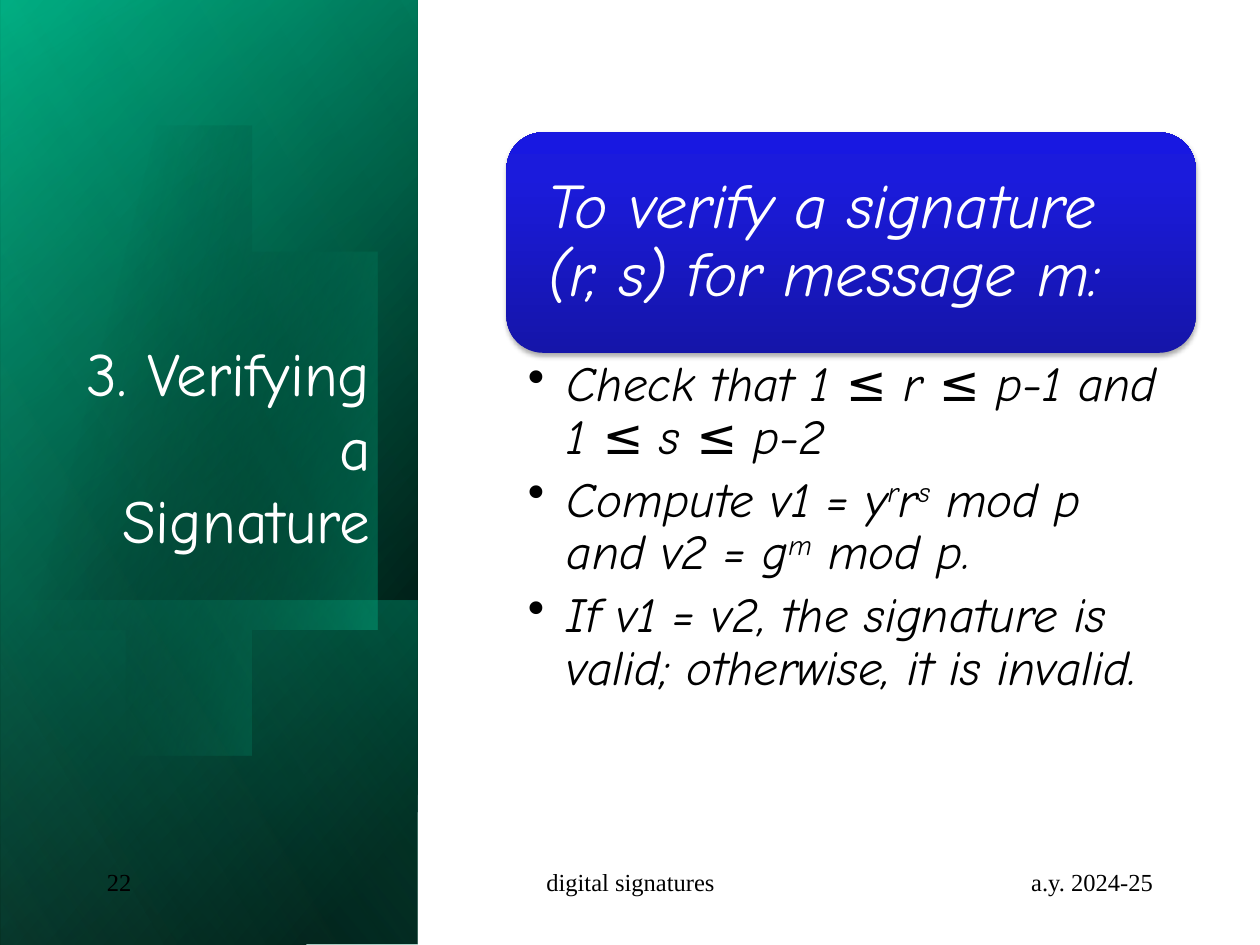
"""Build the slide on verifying a digital signature."""
from lxml import etree
from pptx import Presentation, util as u
from pptx.dml.color import RGBColor
from pptx.enum import shapes, text
from pptx.oxml import ns

TITLE = "3. Verifying a Signature"
HEADING = "To verify a signature (r, s) for message m:"
STEPS = [
    [("Check that 1 ≤ r ≤ p-1 and 1 ≤ s ≤ p-2", False)],
    [("Compute v1 = y", False), ("r", True), ("r", False), ("s", True),
     (" mod p and v2 = g", False), ("m", True), (" mod p.", False)],
    [("If v1 = v2, the signature is valid; otherwise, it is invalid.", False)],
]
FOOTERS = [
    ("a.y. 2024-25", (7.17, 6.83, 2.08, 0.5), text.PP_ALIGN.RIGHT),
    ("digital signatures", (3.42, 6.83, 3.17, 0.5), text.PP_ALIGN.CENTER),
    ("22", (0.75, 6.83, 2.08, 0.5), text.PP_ALIGN.LEFT),
]

PANEL = (-2.09, 2.09, 7.5, 3.31)
LOWER_PANEL = (0.29, 4.48, 2.74, 3.31)
BACK_LAYERS = [
    (PANEL, [(8, "000000", 100), (100, "009973", 100)], 50),
    (PANEL, [(0, "000000", 0), (99, "00CC99", 46)], 30),
    (LOWER_PANEL, [(2, "00CC99", 29), (100, "000000", 30)], 130),
]
FRONT_LAYERS = [(PANEL, [(0, "000000", 0), (99, "47FFD1", 11)], 120)]
OVAL_START = (0.96, 1.14)
OVAL_CURVES = [
    [(1.71, 1.22), (2.44, 1.92), (2.73, 2.9)],
    [(3.07, 4.12), (2.62, 5.31), (1.71, 5.57)],
    [(1.14, 5.74), (0.53, 5.5), (0.07, 5)],
    [(-0.03, 4.88)],
    [(-0.25, 1.66)],
    [(-0.15, 1.54)],
    [(0.02, 1.37), (0.22, 1.25), (0.45, 1.18)],
    [(0.62, 1.13), (0.79, 1.12), (0.96, 1.14)],
]
OVAL_STOPS = [(29, "000000", 0), (100, "00CC99", 43)]
HEADING_STOPS = [(0, "1515A9", 100), (80, "1B1BDC", 100), (100, "1818E1", 100)]

COMIC = {"name": "Comic Neue", "italic": True}
TITLE_FONT = {"name": "Comic Neue", "size": u.Pt(35)}
HEADING_FONT = {**COMIC, "size": u.Pt(36)}
STEP_FONT = {**COMIC, "size": u.Pt(28)}
FOOTER_FONT = {"name": "Times New Roman", "size": u.Pt(14)}


def apply(target, values):
    for name, value in values.items():
        setattr(target, name, value)


def add_element(parent, tag, **attributes):
    child = etree.SubElement(parent, ns.qn(tag))
    for name, value in attributes.items():
        child.set(name, str(value))
    return child


def add_color(parent, color, opacity):
    element = add_element(parent, "a:srgbClr", val=color)
    if opacity < 100:
        add_element(element, "a:alpha", val=opacity * 1000)


def set_gradient(shape, stops, angle):
    shape.shadow.inherit = False
    shape.line.fill.background()
    shape.fill.background()
    properties = shape._element.spPr
    empty = properties.find(ns.qn("a:noFill"))
    gradient = add_element(properties, "a:gradFill", rotWithShape=1)
    stop_list = add_element(gradient, "a:gsLst")
    for position, color, opacity in stops:
        add_color(add_element(stop_list, "a:gs", pos=position * 1000), color, opacity)
    add_element(gradient, "a:lin", ang=angle * 60000, scaled=0)
    properties.replace(empty, gradient)


def add_layers(slide, layers):
    for box, stops, angle in layers:
        shape = slide.shapes.add_shape(shapes.MSO_SHAPE.RECTANGLE, *map(u.Inches, box))
        shape.rotation = 90
        shape._element.spPr.find(ns.qn("a:xfrm")).set("flipH", "1")
        set_gradient(shape, stops, angle)


def curve_points(start, curves, steps=24):
    points = []
    for curve in curves:
        if len(curve) == 1:
            points += curve
        else:
            for step in range(1, steps + 1):
                t = step / steps
                weights = ((1 - t) ** 3, 3 * t * (1 - t) ** 2, 3 * t * t * (1 - t), t ** 3)
                points.append(tuple(sum(w * p[axis] for w, p in zip(weights, [start, *curve]))
                                    for axis in (0, 1)))
        start = curve[-1]
    return points


def add_oval(slide):
    builder = slide.shapes.build_freeform(*OVAL_START, scale=u.Inches(1))
    builder.add_line_segments(curve_points(OVAL_START, OVAL_CURVES), close=True)
    set_gradient(builder.convert_to_shape(), OVAL_STOPS, 14)


def add_run(paragraph, words, font, color, raised=False):
    run = paragraph.add_run()
    run.text = words
    apply(run.font, font)
    run.font.color.rgb = RGBColor.from_string(color)
    if raised:
        run._r.get_or_add_rPr().set("baseline", "30000")


def add_text_frame(slide, box, **values):
    frame = slide.shapes.add_textbox(*map(u.Inches, box)).text_frame
    apply(frame, {"word_wrap": True, **values})
    return frame


def add_line(slide, words, box, font, color, align, **values):
    paragraph = add_text_frame(slide, box, **values).paragraphs[0]
    paragraph.alignment = align
    add_run(paragraph, words, font, color)


def add_heading(slide):
    box = map(u.Inches, (4.02, 1.05, 5.47, 1.75))
    shape = slide.shapes.add_shape(shapes.MSO_SHAPE.ROUNDED_RECTANGLE, *box)
    set_gradient(shape, HEADING_STOPS, 270)
    effects = shape._element.spPr.find(ns.qn("a:effectLst"))
    shadow = add_element(effects, "a:outerShdw", blurRad=u.Pt(3.1), dist=u.Pt(1.8),
                         dir=90 * 60000, rotWithShape=0)
    add_color(shadow, "000000", 35)
    margins = {f"margin_{side}": u.Inches(0.24) for side in ("left", "top", "right", "bottom")}
    apply(shape.text_frame, {"word_wrap": True, "vertical_anchor": text.MSO_ANCHOR.MIDDLE,
                             **margins})
    paragraph = shape.text_frame.paragraphs[0]
    apply(paragraph, {"alignment": text.PP_ALIGN.LEFT, "line_spacing": 0.9})
    add_run(paragraph, HEADING, HEADING_FONT, "FFFFFF")


def add_steps(slide):
    frame = add_text_frame(slide, (4.02, 2.8, 5.47, 3.75),
                           margin_left=u.Inches(0.17), margin_right=u.Inches(0.28))
    for index, step in enumerate(STEPS):
        paragraph = frame.add_paragraph() if index else frame.paragraphs[0]
        apply(paragraph, {"line_spacing": 0.9, "space_after": u.Pt(5.6)})
        properties = paragraph._p.get_or_add_pPr()
        properties.set("marL", str(u.Inches(0.31)))
        properties.set("indent", str(-u.Inches(0.31)))
        add_element(properties, "a:buChar", char="•")
        for words, raised in step:
            add_run(paragraph, words, STEP_FONT, "000000", raised)


def main():
    presentation = Presentation()
    apply(presentation, {"slide_width": u.Inches(10), "slide_height": u.Inches(7.5)})
    slide = presentation.slides.add_slide(presentation.slide_layouts[6])
    add_layers(slide, BACK_LAYERS)
    add_oval(slide)
    add_layers(slide, FRONT_LAYERS)
    add_line(slide, TITLE, (0.48, 1.84, 2.56, 2.62), TITLE_FONT, "FFFFFF",
             text.PP_ALIGN.RIGHT, vertical_anchor=text.MSO_ANCHOR.BOTTOM)
    add_heading(slide)
    add_steps(slide)
    for words, box, align in FOOTERS:
        add_line(slide, words, box, FOOTER_FONT, "000000", align)
    presentation.save("out.pptx")


if __name__ == "__main__":
    main()
